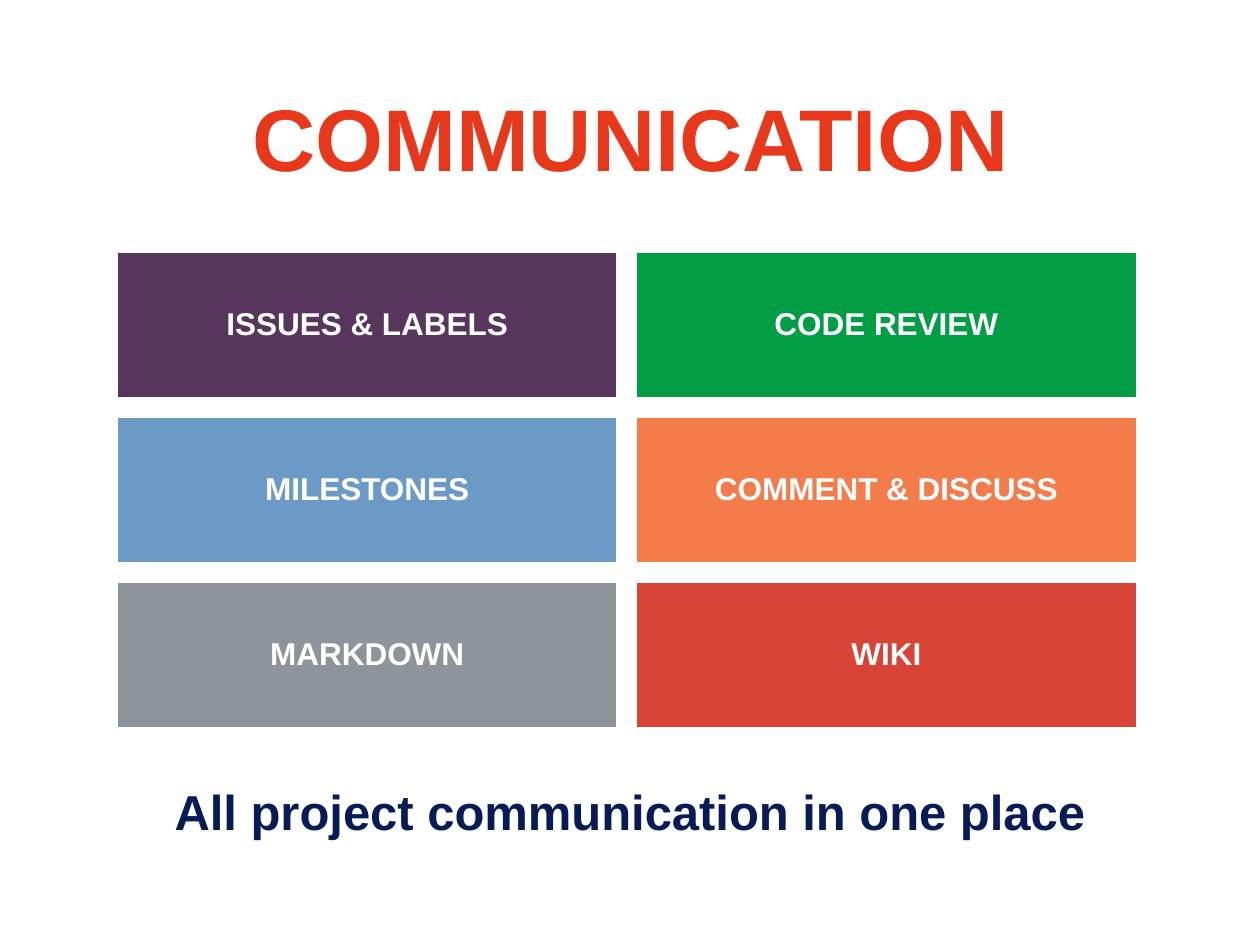
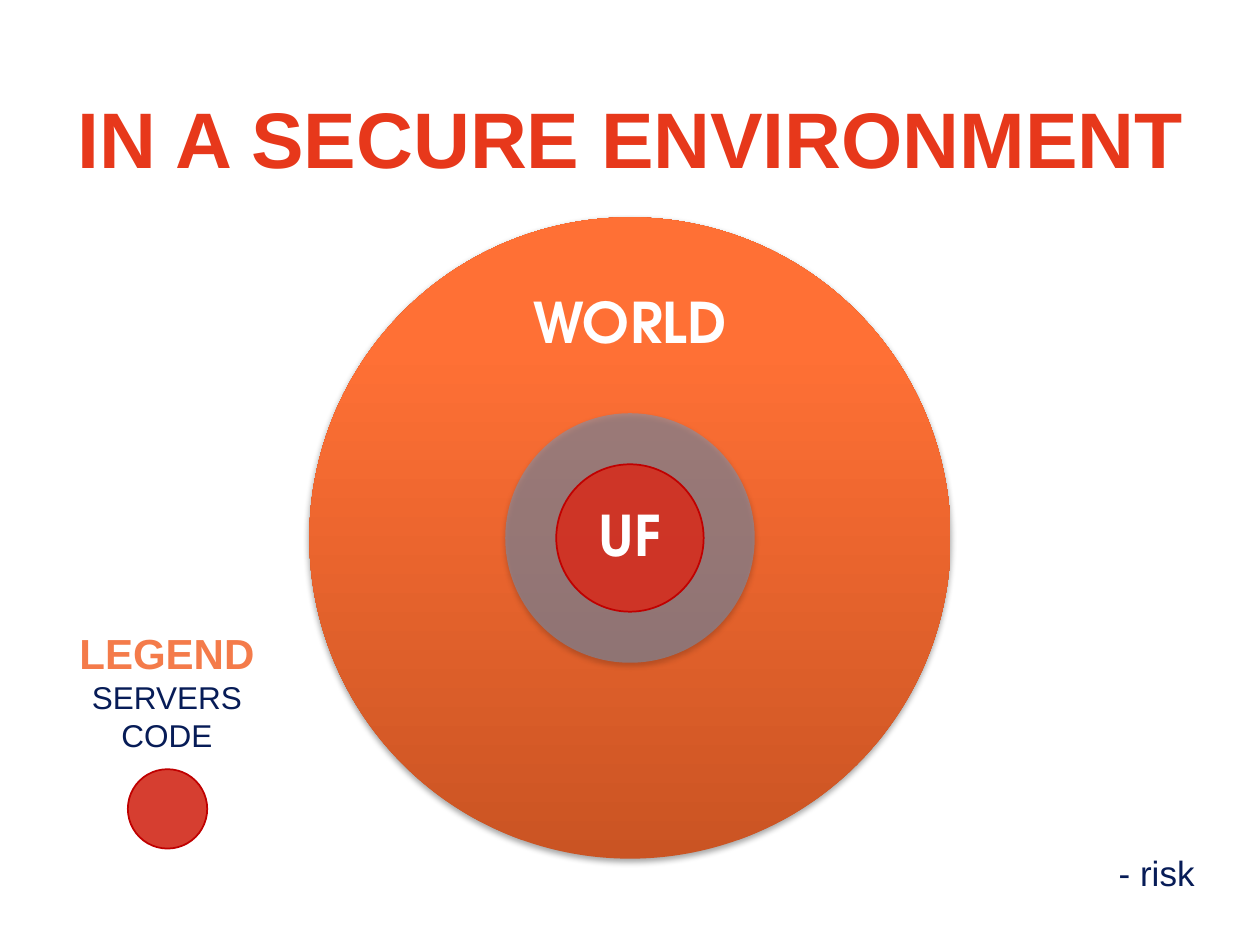
import copy

import pptx
import pptx.util
from lxml import etree
from pptx.dml.color import RGBColor
from pptx.enum.shapes import MSO_SHAPE
from pptx.enum.text import MSO_ANCHOR, PP_ALIGN
from pptx.oxml.ns import qn
from pptx.util import Inches, Pt

# Content
COLORS = {
    "title": "E7381B", "navy": "071C57", "white": "FFFFFF", "purple": "57355C",
    "green": "009D45", "blue": "6A9AC5", "orange": "F47B4A", "gray": "8F949A",
    "red": "D33021", "outline": "C00000", "shadow": "000000",
}
WORLD_STOPS = [(0, "CA5423"), (0.8, "FF7035"), (1, "FF7137")]
FEATURES = [  # label, colour, opacity in percent; filled row by row
    ("ISSUES & LABELS", "purple", 100), ("CODE REVIEW", "green", 100),
    ("MILESTONES", "blue", 100), ("COMMENT & DISCUSS", "orange", 100),
    ("MARKDOWN", "gray", 100), ("WIKI", "red", 90),
]
# Each line of text: wording, size, colour, bold
CAPTION = [("All project communication in one place", 28, "navy", True)]
LEGEND = [("LEGEND", 24, "orange", True), ("SERVERS", 18, "navy", False),
          ("CODE", 18, "navy", False)]
RISK = [("- risk", 20, "navy", False)]
WORLD = [("WORLD", 32, "white", True)]
UF = [("UF", 32, "white", True)]

# Layout
TITLE_BOX = (0.42, 0.42, 9.17, 1.33)
COLUMNS = 2
CARD_LEFT, CARD_TOP, CARD_WIDTH, CARD_HEIGHT = 0.93, 2, 3.97, 1.16
CARD_GAP = 0.15
CENTER = (5, 4.27)
BODY_FONT, DISPLAY_FONT = "Arial", "TeX Gyre Adventor"


def rgb(name):
    return RGBColor.from_string(COLORS[name])


def write(shape, lines, font=BODY_FONT, align=PP_ALIGN.CENTER, spacing=None):
    """Put lines of text in a shape, one paragraph each."""
    frame = shape.text_frame
    frame.word_wrap = True
    frame.text = "\n".join(line[0] for line in lines)
    for para, (_, size, color, bold) in zip(frame.paragraphs, lines):
        para.alignment = align
        if spacing:
            para.line_spacing = spacing
        for span in para.runs:
            span.font.name = font
            span.font.size = Pt(size)
            span.font.bold = bold
            span.font.color.rgb = rgb(color)


def add_text(page, place, lines, **style):
    box = page.shapes.add_textbox(*map(Inches, place))
    write(box, lines, **style)
    return box


def add_page(deck, title, size):
    page = deck.slides.add_slide(deck.slide_layouts[5])
    heading = page.shapes.title
    heading.left, heading.top, heading.width, heading.height = map(Inches, TITLE_BOX)
    heading.text_frame.vertical_anchor = MSO_ANCHOR.MIDDLE
    write(heading, [(title, size, "title", True)])
    return page


def add_figure(page, kind, place, color=None, opacity=100, outline=None):
    """Add a flat preset shape, with an outline if one is named."""
    shape = page.shapes.add_shape(kind, *map(Inches, place))
    shape.shadow.inherit = False
    if color:
        shape.fill.solid()
        shape.fill.fore_color.rgb = rgb(color)
        if opacity < 100:
            tint = shape._element.spPr.find(qn("a:solidFill"))[0]
            etree.SubElement(tint, qn("a:alpha"), val=str(opacity * 1000))
    if outline:
        shape.line.color.rgb = rgb(outline)
        shape.line.width = Pt(1)
    else:
        shape.line.fill.background()
    return shape


def add_circle(page, center, diameter, *style):
    left, top = (middle - diameter / 2 for middle in center)
    return add_figure(page, MSO_SHAPE.OVAL, (left, top, diameter, diameter), *style)


def fill_gradient(shape, stops):
    """Fill from bottom to top with any number of colour stops."""
    shape.fill.gradient()
    shape.fill.gradient_angle = 90
    stop_list = shape._element.spPr.find(qn("a:gradFill")).find(qn("a:gsLst"))
    while len(stop_list) < len(stops):
        stop_list.append(copy.deepcopy(stop_list[-1]))
    for stop, (position, color) in zip(shape.fill.gradient_stops, stops):
        stop.position = position
        stop.color.rgb = RGBColor.from_string(color)


def drop_shadow(shape):
    effects = shape._element.spPr.find(qn("a:effectLst"))
    shadow = etree.SubElement(
        effects, qn("a:outerShdw"), blurRad=str(Pt(3.1)), dist=str(Pt(1.8)),
        dir="5400000", rotWithShape="0")
    color = etree.SubElement(shadow, qn("a:srgbClr"), val=COLORS["shadow"])
    etree.SubElement(color, qn("a:alpha"), val="35000")


def build_communication(deck):
    page = add_page(deck, "COMMUNICATION", 50)
    # Grid of feature cards
    for index, (label, color, opacity) in enumerate(FEATURES):
        row, column = divmod(index, COLUMNS)
        place = (CARD_LEFT + column * (CARD_WIDTH + CARD_GAP),
                 CARD_TOP + row * (CARD_HEIGHT + CARD_GAP), CARD_WIDTH, CARD_HEIGHT)
        card = add_figure(page, MSO_SHAPE.RECTANGLE, place, color, opacity, "white")
        card.text_frame.margin_bottom = Inches(0.08)
        write(card, [(label, 18, "white", True)])
    add_text(page, (1.12, 6.15, 7.76, 0.57), CAPTION)


def build_security(deck):
    page = add_page(deck, "IN A SECURE ENVIRONMENT", 45)
    # Concentric circles
    world = add_circle(page, CENTER, 5.09)
    fill_gradient(world, WORLD_STOPS)
    drop_shadow(world)
    world_label = add_text(page, (3.2, 2.18, 3.6, 0.8), WORLD,
                           font=DISPLAY_FONT, spacing=0.9)
    world_label.text_frame.vertical_anchor = MSO_ANCHOR.MIDDLE
    ring = add_circle(page, CENTER, 1.98, "blue", 50)
    drop_shadow(ring)
    core = add_circle(page, CENTER, 1.17, "red", 93, "outline")
    core.text_frame.margin_left = core.text_frame.margin_right = 0
    write(core, UF, font=DISPLAY_FONT, spacing=0.9)
    # Legend and note
    add_text(page, (0.28, 4.93, 2.09, 1.11), LEGEND)
    add_circle(page, (1.33, 6.42), 0.63, "red", 93, "outline")
    add_text(page, (5.71, 6.71, 3.87, 0.44), RISK, align=PP_ALIGN.RIGHT)


def main():
    deck = pptx.Presentation()
    deck.slide_width, deck.slide_height = Inches(10), Inches(7.5)
    build_communication(deck)
    build_security(deck)
    deck.save("out.pptx")


if __name__ == "__main__":
    main()
